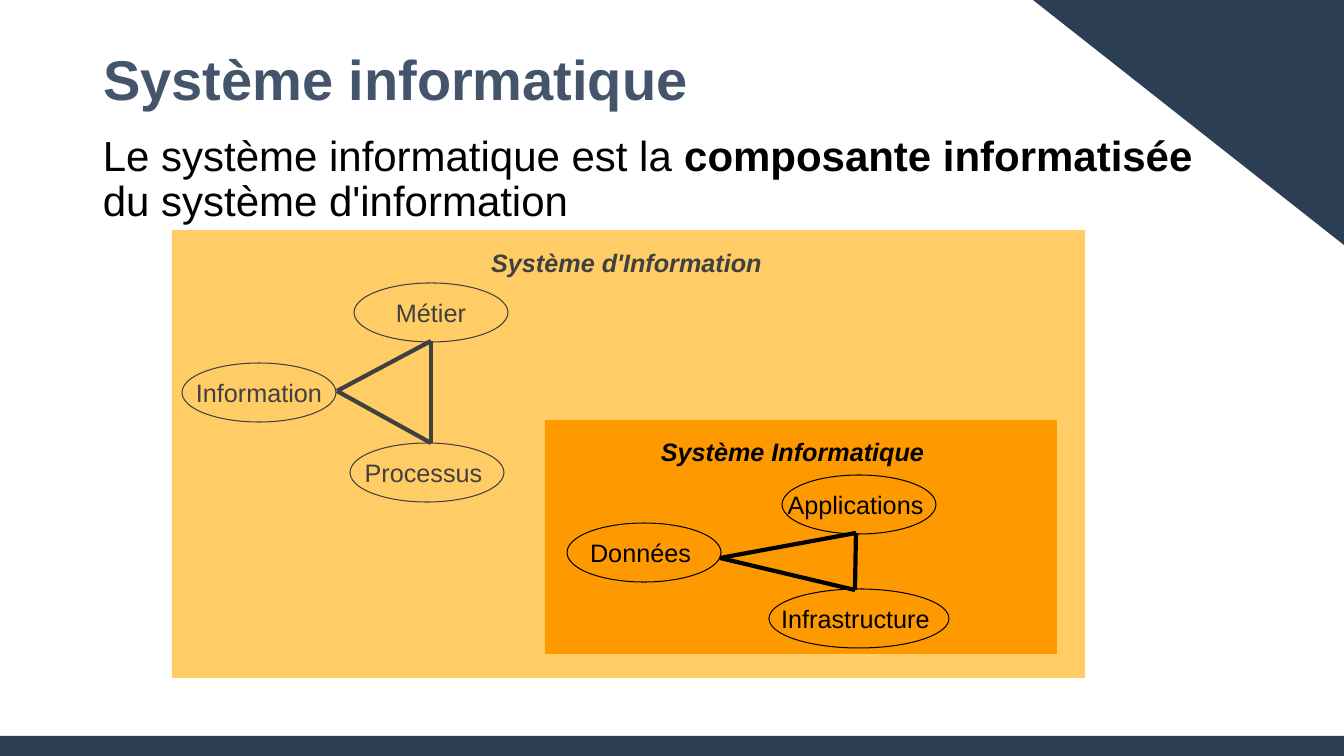
from lxml import etree
from pptx import Presentation
from pptx.dml.color import RGBColor
from pptx.enum.shapes import MSO_CONNECTOR, MSO_SHAPE
from pptx.enum.text import MSO_ANCHOR, PP_ALIGN
from pptx.oxml.ns import qn
from pptx.util import Emu, Pt

COLORS = {"navy": "2B3E54", "title": "44546A", "sand": "FFCC66",
          "orange": "FF9900", "gray": "404040", "black": "000000"}
FONT = "Arial"
PIXEL = 9071.43

TITLE = "Système informatique"
DEFINITION = [("Le système informatique est la ", False),
              ("composante informatisée", True),
              (" du système d'information", False)]

SYSTEMS = [
    {"heading": "Système d'Information", "heading_box": (481, 242, 291, 40),
     "panel": (172, 230, 913, 448), "fill": "sand", "ink": "gray",
     "nodes": [("Information", (182, 363, 154, 59), 0),
               ("Métier", (354, 283, 154, 59), 0),
               ("Processus", (350, 443, 154, 59), 7)],
     "triangle": [(431, 341), (431, 443), (337, 391)]},
    {"heading": "Système Informatique", "heading_box": (651, 431, 283, 40),
     "panel": (545, 420, 512, 234), "fill": "orange", "ink": "black",
     "nodes": [("Données", (567, 523, 154, 59), 7),
               ("Applications", (782, 475, 154, 59), 7),
               ("Infrastructure", (769, 589, 180, 59), 7)],
     "triangle": [(856, 533), (855, 590), (720, 558)]},
]


def px(*values):
    return [Emu(round(value * PIXEL)) for value in values]


def color(name):
    return RGBColor.from_string(COLORS[name])


def add_run(paragraph, text, size, ink, bold=False, italic=False):
    run = paragraph.add_run()
    run.text = text
    font = run.font
    font.name, font.size, font.bold, font.italic = FONT, Pt(size), bold, italic
    font.color.rgb = color(ink)


def add_block(kind, box, fill=None, line=None):
    shape = slide.shapes.add_shape(kind, *px(*box))
    shape.shadow.inherit = False
    if fill:
        shape.fill.solid()
        shape.fill.fore_color.rgb = color(fill)
    else:
        shape.fill.background()
    if line:
        shape.line.color.rgb = color(line)
        shape.line.width = Pt(0.75)
    else:
        shape.line.fill.background()
    return shape


def center_text(shape, text, ink, inset=0, bold=False, italic=False):
    frame = shape.text_frame
    frame.word_wrap = False
    frame.vertical_anchor = MSO_ANCHOR.MIDDLE
    frame.margin_left = frame.margin_top = frame.margin_bottom = 0
    frame.margin_right = px(inset)[0]
    paragraph = frame.paragraphs[0]
    paragraph.alignment = PP_ALIGN.CENTER
    add_run(paragraph, text, 18, ink, bold, italic)


def add_edge(start, end, ink):
    edge = slide.shapes.add_connector(MSO_CONNECTOR.STRAIGHT, *px(*start, *end))
    edge.line.color.rgb = color(ink)
    edge.line.width = Pt(3)
    etree.SubElement(edge._element.spPr, qn("a:effectLst"))


presentation = Presentation()
presentation.slide_width, presentation.slide_height = px(1344, 756)
slide = presentation.slides.add_slide(presentation.slide_layouts[5])

corner = add_block(MSO_SHAPE.RIGHT_TRIANGLE, (1033, 0, 311, 245), "navy")
corner.rotation = 180
add_block(MSO_SHAPE.RECTANGLE, (0, 736, 1344, 20), "navy")

title = slide.shapes.title
title.left, title.top, title.width, title.height = px(93, 46, 1159, 72)
title.text_frame.vertical_anchor = MSO_ANCHOR.MIDDLE
paragraph = title.text_frame.paragraphs[0]
paragraph.alignment = PP_ALIGN.LEFT
paragraph.line_spacing = 0.9
add_run(paragraph, TITLE, 40, "title", bold=True)

definition = slide.shapes.add_textbox(*px(93, 130, 1159, 125))
definition.text_frame.word_wrap = True
paragraph = definition.text_frame.paragraphs[0]
paragraph.line_spacing = 0.9
for text, bold in DEFINITION:
    add_run(paragraph, text, 30, "black", bold)

for system in SYSTEMS:
    ink = system["ink"]
    add_block(MSO_SHAPE.RECTANGLE, system["panel"], system["fill"])
    heading = add_block(MSO_SHAPE.RECTANGLE, system["heading_box"], system["fill"])
    center_text(heading, system["heading"], ink, bold=True, italic=True)
    for label, box, inset in system["nodes"]:
        node = add_block(MSO_SHAPE.OVAL, box, line=ink)
        center_text(node, label, ink, inset)
    corners = system["triangle"]
    for start, end in zip(corners, corners[1:] + corners[:1]):
        add_edge(start, end, ink)

presentation.save("out.pptx")
